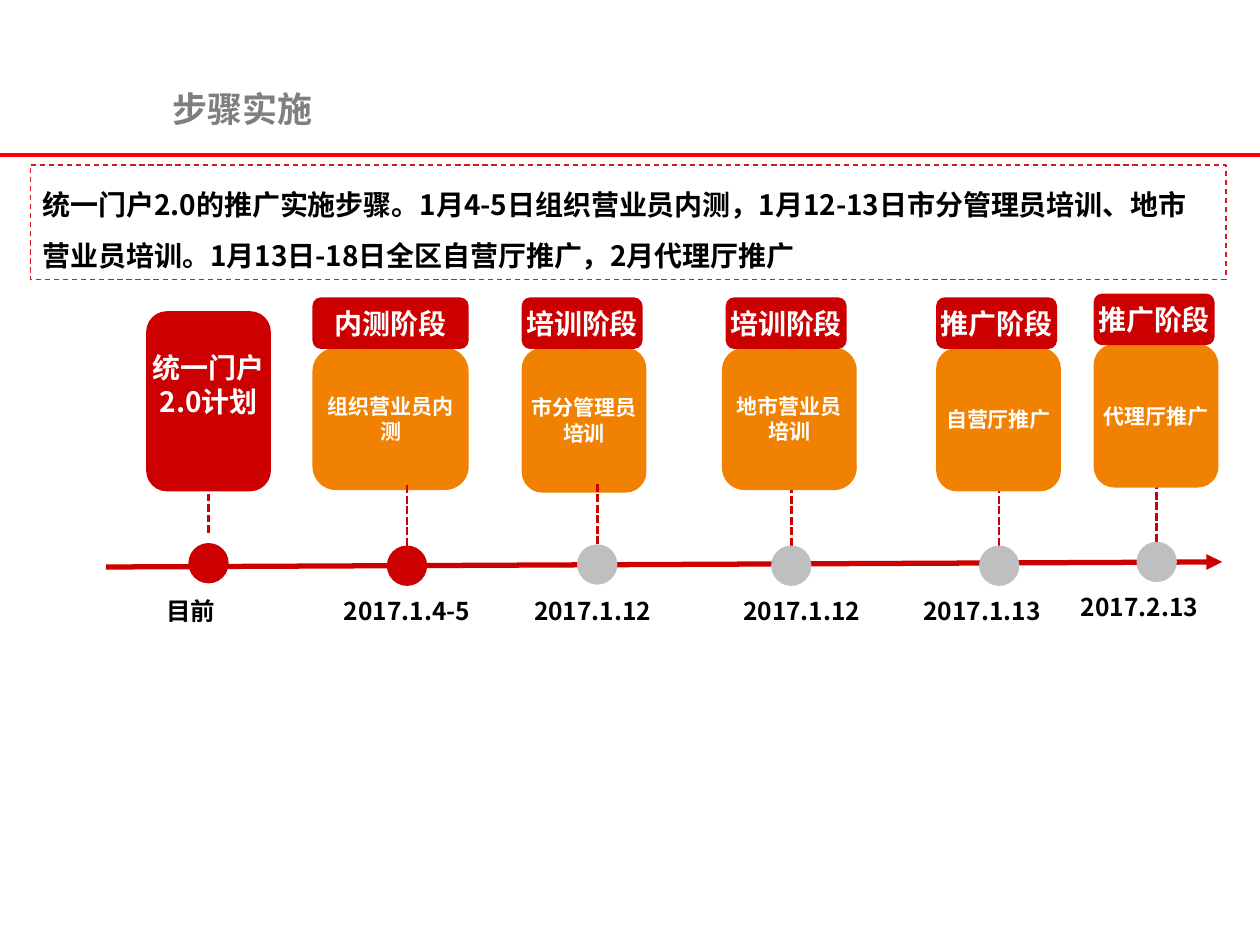
from lxml import etree
from pptx import Presentation
from pptx.dml.color import RGBColor
from pptx.enum.dml import MSO_LINE as Dash
from pptx.enum.shapes import MSO_CONNECTOR as Conn, MSO_SHAPE as Kind
from pptx.enum.text import MSO_ANCHOR as Anchor, MSO_AUTO_SIZE as Auto, PP_ALIGN as Align
from pptx.oxml.ns import qn
from pptx.util import Inches, Pt

FACE = "Noto Sans CJK SC"
RED, ORANGE, GRAY = "CC0000", "F18101", "BFBFBF"
WHITE, BLACK = "FFFFFF", "000000"
DOT = 0.32

# box left, top, width, height; tag width; dot centre, top; date left, width;
# date, tag, task, dot colour, drop line above the box
STAGES = [
    (2.48, 2.36, 1.24, 1.53, 1.24, 3.23, 4.33, 2.63, 1.35,
     "2017.1.4-5", "内测阶段", "组织营业员内测", RED, True),
    (4.14, 2.36, 0.99, 1.55, 0.96, 4.74, 4.32, 4.14, 1.36,
     "2017.1.12", "培训阶段", "市分管理员培训", GRAY, True),
    (5.73, 2.36, 1.07, 1.53, 0.96, 6.28, 4.33, 5.8, 1.24,
     "2017.1.12", "培训阶段", "地市营业员培训", GRAY, False),
    (7.43, 2.36, 0.99, 1.54, 0.96, 7.93, 4.33, 7.23, 1.41,
     "2017.1.13", "推广阶段", "自营厅推广", GRAY, False),
    (8.68, 2.33, 0.99, 1.54, 0.96, 9.18, 4.3, 8.48, 1.41,
     "2017.2.13", "推广阶段", "代理厅推广", GRAY, False),
]


def color(code):
    return RGBColor.from_string(code)


def fit(item, **values):
    for name, value in values.items():
        setattr(item, name, value)


def write(shape, text, size, code, align=Align.LEFT, space=None, **frame):
    body = shape.text_frame
    fit(body, **{"word_wrap": True, "vertical_anchor": Anchor.TOP, **frame})
    para = body.paragraphs[0]
    fit(para, alignment=align, line_spacing=space)
    run = para.add_run()
    run.text = text
    fit(run.font, name=FACE, size=Pt(size), bold=True)
    run.font.color.rgb = color(code)
    east = etree.SubElement(run.font._element, qn("a:ea"))
    east.set("typeface", FACE)


def label(slide, box, text, size, code=BLACK, **frame):
    shape = slide.shapes.add_textbox(*map(Inches, box))
    write(shape, text, size, code, **frame)


def block(slide, kind, box, fill=None):
    shape = slide.shapes.add_shape(kind, *map(Inches, box))
    shape.shadow.inherit = False
    if fill:
        shape.fill.solid()
        shape.fill.fore_color.rgb = color(fill)
    else:
        shape.fill.background()
    shape.line.fill.background()
    return shape


def card(slide, box, text, size, fill, low=0):
    shape = block(slide, Kind.ROUNDED_RECTANGLE, box, fill)
    write(shape, text, size, WHITE, Align.CENTER, vertical_anchor=Anchor.MIDDLE,
          margin_left=0, margin_right=0, margin_top=0, margin_bottom=Inches(low))


def rule(slide, start, end, code, width, dash=None, arrow=False):
    line = slide.shapes.add_connector(Conn.STRAIGHT, *map(Inches, (*start, *end)))
    line.line.color.rgb = color(code)
    fit(line.line, width=Pt(width), dash_style=dash)
    props = line._element.spPr
    if arrow:
        tail = etree.SubElement(props.find(qn("a:ln")), qn("a:tailEnd"))
        tail.set("type", "triangle")
    etree.SubElement(props, qn("a:effectLst"))


def drop(slide, mid, low, high):
    rule(slide, (mid, low), (mid, high), RED, 1.5, Dash.SQUARE_DOT)


def dot(slide, mid, top, fill):
    block(slide, Kind.OVAL, (mid - DOT / 2, top, DOT, DOT), fill)


def date(slide, box, text):
    label(slide, box, text, 14, auto_size=Auto.SHAPE_TO_FIT_TEXT)


def header(slide, left, top, width, height):
    rule(slide, (0, 1.23), (10, 1.23), "FF0000", 2)
    label(slide, (left, top, width, height), "步骤实施", 20, "7F7F7F",
          vertical_anchor=Anchor.MIDDLE)


def summary(slide, *box):
    shape = block(slide, Kind.RECTANGLE, box)
    shape.line.color.rgb = color("D71A21")
    fit(shape.line, width=Pt(0.75), dash_style=Dash.DASH)
    write(shape, "统一门户2.0的推广实施步骤。1月4-5日组织营业员内测，"
          "1月12-13日市分管理员培训、地市营业员培训。"
          "1月13日-18日全区自营厅推广，2月代理厅推广",
          16, BLACK, space=1.5, auto_size=Auto.SHAPE_TO_FIT_TEXT)


def plan(slide, left, top, width, height):
    mid = left + width / 2
    card(slide, (left, top, width, height), "统一门户2.0计划", 16, RED, low=0.27)
    drop(slide, mid, top + 1.76, top + 1.27)
    dot(slide, mid, top + 1.84, RED)
    date(slide, (left + 0.06, top + 2.21, 0.9, 0.34), "目前")


def stage(slide, left, top, width, height, wide, mid, low, edge, span,
          day, tag, task, fill, above):
    def link():
        drop(slide, mid, low, low - 0.49)

    if not above:
        link()
    card(slide, (left, top + 0.4, width, height - 0.4), task, 12, ORANGE)
    if above:
        link()
    # The third tag sits slightly inside its wider box
    inset = 0.03 if width - wide > 0.05 else 0
    card(slide, (left + inset, top, wide, 0.41), tag, 16, RED)
    dot(slide, mid, low, fill)
    date(slide, (edge, top + 2.32, span, 0.35), day)


def timeline(slide):
    rule(slide, (0.84, 4.5), (9.7, 4.46), RED, 3, arrow=True)
    plan(slide, 1.16, 2.47, 0.99, 1.43)
    for item in STAGES:
        stage(slide, *item)


def main():
    deck = Presentation()
    fit(deck, slide_width=Inches(10), slide_height=Inches(7.5))
    slide = deck.slides.add_slide(deck.slide_layouts[6])
    header(slide, 1.27, 0.55, 6.14, 0.62)
    summary(slide, 0.24, 1.31, 9.49, 0.91)
    timeline(slide)
    deck.save("out.pptx")


if __name__ == "__main__":
    main()
